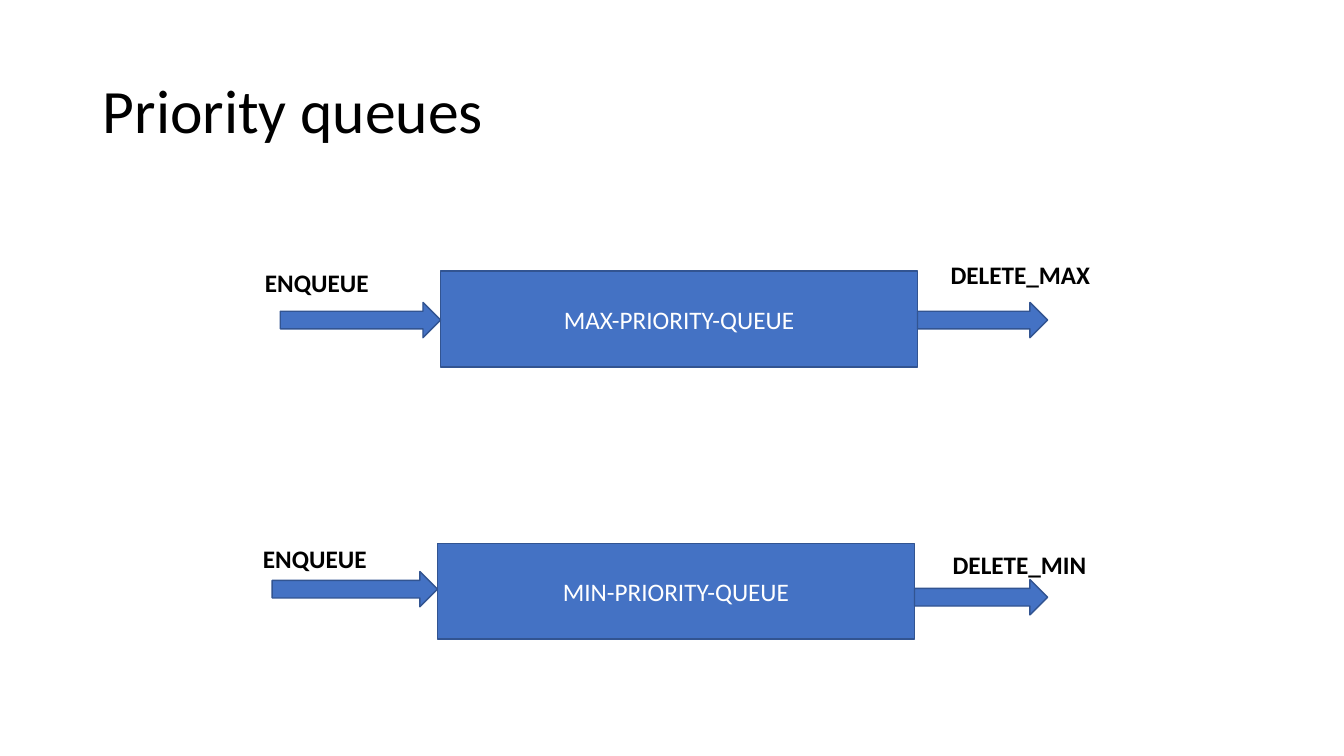
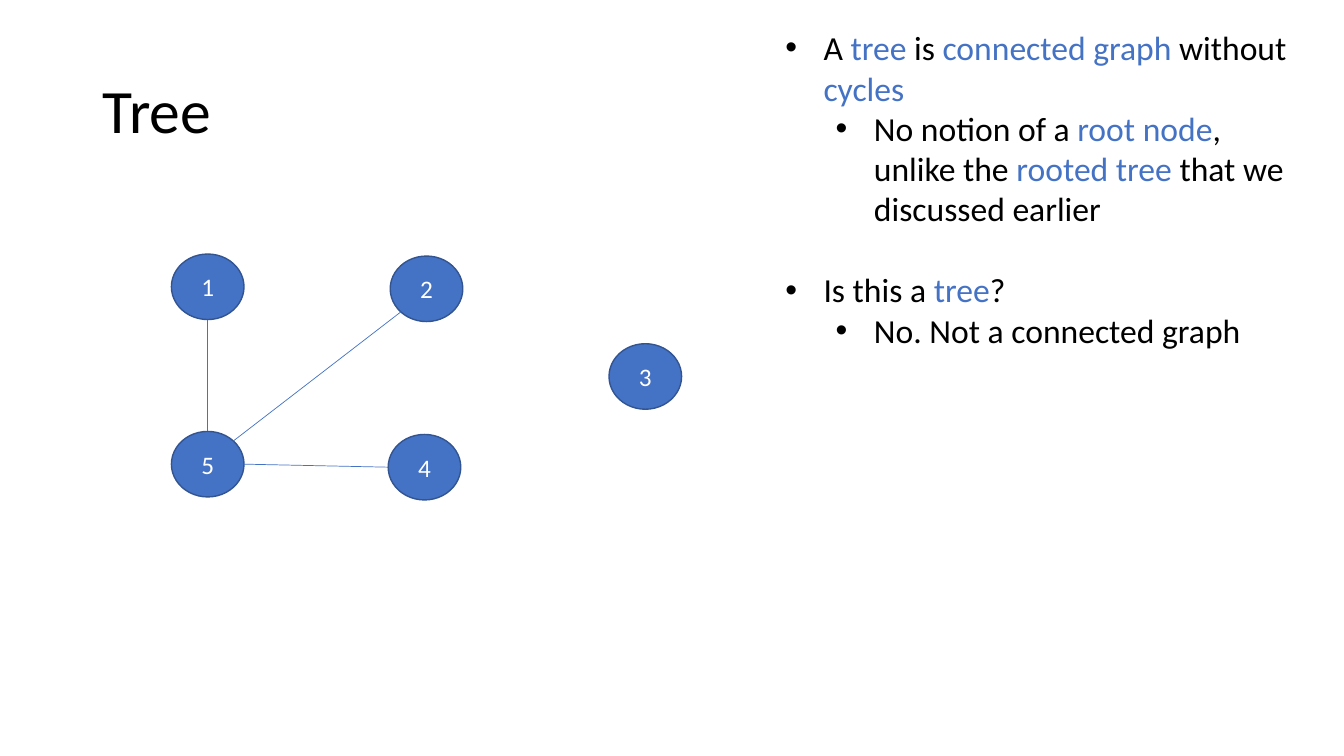
import math

import pptx
import pptx.dml.color
import pptx.enum.shapes
import pptx.enum.text
import pptx.oxml.ns
import pptx.util
from lxml import etree

WIDTH, HEIGHT = 13.33, 7.5
FONT = "Calibri"
BLUE, EDGE, BLACK, WHITE = "4472C4", "325491", "000000", "FFFFFF"
SHAPES = pptx.enum.shapes.MSO_SHAPE
ALIGN = pptx.enum.text.PP_ALIGN
ANCHOR = pptx.enum.text.MSO_ANCHOR
TITLE_BOX = (0.92, 0.4, 11.5, 1.45)
QUEUE_SIZE = (4.73, 0.95)
ARROW_HEIGHT = 0.35
OUT_END = 10.39
LABEL_SIZE = (1.64, 0.4)
NODE_SIZE = (0.72, 0.65)
BULLET_INDENT, LEVEL_STEP = 0.38, 0.5

QUEUES = [
    {"name": "MAX-PRIORITY-QUEUE", "removal": "DELETE_MAX", "corner": (4.37, 2.69),
     "in_arrow": (-1.59, 0.31), "out_drop": 0.31,
     "in_label": (-1.84, -0.09), "out_label": (4.96, -0.17)},
    {"name": "MIN-PRIORITY-QUEUE", "removal": "DELETE_MIN", "corner": (4.34, 5.39),
     "in_arrow": (-1.64, 0.28), "out_drop": 0.36,
     "in_label": (-1.83, -0.05), "out_label": (5.01, 0.01)},
]
NODES = {"1": (1.7, 2.52), "2": (3.87, 2.54), "5": (1.7, 4.28),
         "4": (3.85, 4.31), "3": (6.04, 3.41)}
EDGES = [("1", 90, "5", 270), ("5", 0, "4", 180), ("5", 315, "2", 135)]
NOTES = [
    (0, 0, [("A ", BLACK), ("tree", BLUE), (" is ", BLACK), ("connected graph ", BLUE),
            ("without ", BLACK), ("cycles", BLUE)]),
    (1, 0, [("No notion of a ", BLACK), ("root node", BLUE), (", unlike the ", BLACK),
            ("rooted tree ", BLUE), ("that we discussed earlier", BLACK)]),
    (0, 29, [("Is this a ", BLACK), ("tree", BLUE), ("?", BLACK)]),
    (1, 0, [("No. Not a connected graph", BLACK)]),
]


def color(value):
    """Turn a hex string into a colour."""
    return pptx.dml.color.RGBColor.from_string(value)


def inches(*lengths):
    """Turn lengths in inches into slide units."""
    return [pptx.util.Inches(length) for length in lengths]


def add_span(para, text, size, ink, bold=False):
    """Add one formatted run to a paragraph."""
    span = para.add_run()
    span.text = text
    span.font.name = FONT
    span.font.size = pptx.util.Pt(size)
    span.font.bold = bold
    span.font.color.rgb = color(ink)


def add_page(deck, title):
    """Add a title-only slide with the shared title style."""
    page = deck.slides.add_slide(deck.slide_layouts[5])
    box = page.shapes.title
    box.left, box.top, box.width, box.height = inches(*TITLE_BOX)
    box.text_frame.vertical_anchor = ANCHOR.MIDDLE
    para = box.text_frame.paragraphs[0]
    para.alignment = ALIGN.LEFT
    para.line_spacing = 0.9
    add_span(para, title, 44, BLACK)
    return page


def add_figure(page, kind, left, top, width, height, text=""):
    """Add a blue preset shape with optional centred text."""
    shape = page.shapes.add_shape(kind, *inches(left, top, width, height))
    shape.shadow.inherit = False
    shape.fill.solid()
    shape.fill.fore_color.rgb = color(BLUE)
    shape.line.color.rgb = color(EDGE)
    shape.line.width = pptx.util.Pt(1)
    if text:
        shape.text_frame.vertical_anchor = ANCHOR.MIDDLE
        para = shape.text_frame.paragraphs[0]
        para.alignment = ALIGN.CENTER
        add_span(para, text, 18, WHITE)


def add_text_box(page, left, top, width, height):
    """Add a wrapping text box and return its frame."""
    box = page.shapes.add_textbox(*inches(left, top, width, height))
    box.text_frame.word_wrap = True
    return box.text_frame


def add_queue(page, queue):
    """Draw a queue with its arrows and labels placed from its corner."""
    left, top = queue["corner"]
    width, height = QUEUE_SIZE
    add_figure(page, SHAPES.RECTANGLE, left, top, width, height, queue["name"])
    shift, drop = queue["in_arrow"]
    right = left + width
    arrows = [(left + shift, top + drop, -shift),
              (right, top + queue["out_drop"], OUT_END - right)]
    for start, level, length in arrows:
        add_figure(page, SHAPES.RIGHT_ARROW, start, level, length, ARROW_HEIGHT)
    labels = [("ENQUEUE", queue["in_label"]), (queue["removal"], queue["out_label"])]
    for text, (across, down) in labels:
        frame = add_text_box(page, left + across, top + down, *LABEL_SIZE)
        add_span(frame.paragraphs[0], text, 18, BLACK, bold=True)


def rim_point(name, degrees):
    """Find the point on a node's rim, with angles running clockwise from the right."""
    left, top = NODES[name]
    width, height = NODE_SIZE
    angle = math.radians(degrees)
    return (left + width / 2 * (1 + math.cos(angle)),
            top + height / 2 * (1 + math.sin(angle)))


def add_graph(page):
    """Draw the numbered nodes and the edges between their rims."""
    for name, corner in NODES.items():
        add_figure(page, SHAPES.OVAL, *corner, *NODE_SIZE, name)
    for first, leaving, second, arriving in EDGES:
        ends = rim_point(first, leaving) + rim_point(second, arriving)
        edge = page.shapes.add_connector(
            pptx.enum.shapes.MSO_CONNECTOR.STRAIGHT, *inches(*ends))
        edge.line.color.rgb = color(BLUE)
        edge.line.width = pptx.util.Pt(0.5)
        etree.SubElement(edge._element.spPr, pptx.oxml.ns.qn("a:effectLst"))


def add_bullet(para, level):
    """Give a paragraph a round bullet and a hanging indent."""
    para.level = level
    properties = para._p.get_or_add_pPr()
    margin, hang = inches(BULLET_INDENT + LEVEL_STEP * level, BULLET_INDENT)
    properties.set("marL", str(margin))
    properties.set("indent", str(-hang))
    font = etree.SubElement(properties, pptx.oxml.ns.qn("a:buFont"))
    font.set("typeface", "Arial")
    mark = etree.SubElement(properties, pptx.oxml.ns.qn("a:buChar"))
    mark.set("char", "•")


def add_notes(page, left, top, width, height):
    """Write the bulleted remarks in the given box."""
    frame = add_text_box(page, left, top, width, height)
    for index, (level, gap, spans) in enumerate(NOTES):
        para = frame.add_paragraph() if index else frame.paragraphs[0]
        add_bullet(para, level)
        if gap:
            para.space_before = pptx.util.Pt(gap)
        for text, ink in spans:
            add_span(para, text, 24, ink)


def main():
    """Build and save the deck."""
    deck = pptx.Presentation()
    deck.slide_width, deck.slide_height = inches(WIDTH, HEIGHT)
    queue_page = add_page(deck, "Priority queues")
    for queue in QUEUES:
        add_queue(queue_page, queue)
    tree_page = add_page(deck, "Tree")
    add_graph(tree_page)
    add_notes(tree_page, 7.69, 0.22, 5.34, 3.74)
    deck.save("out.pptx")


if __name__ == "__main__":
    main()
